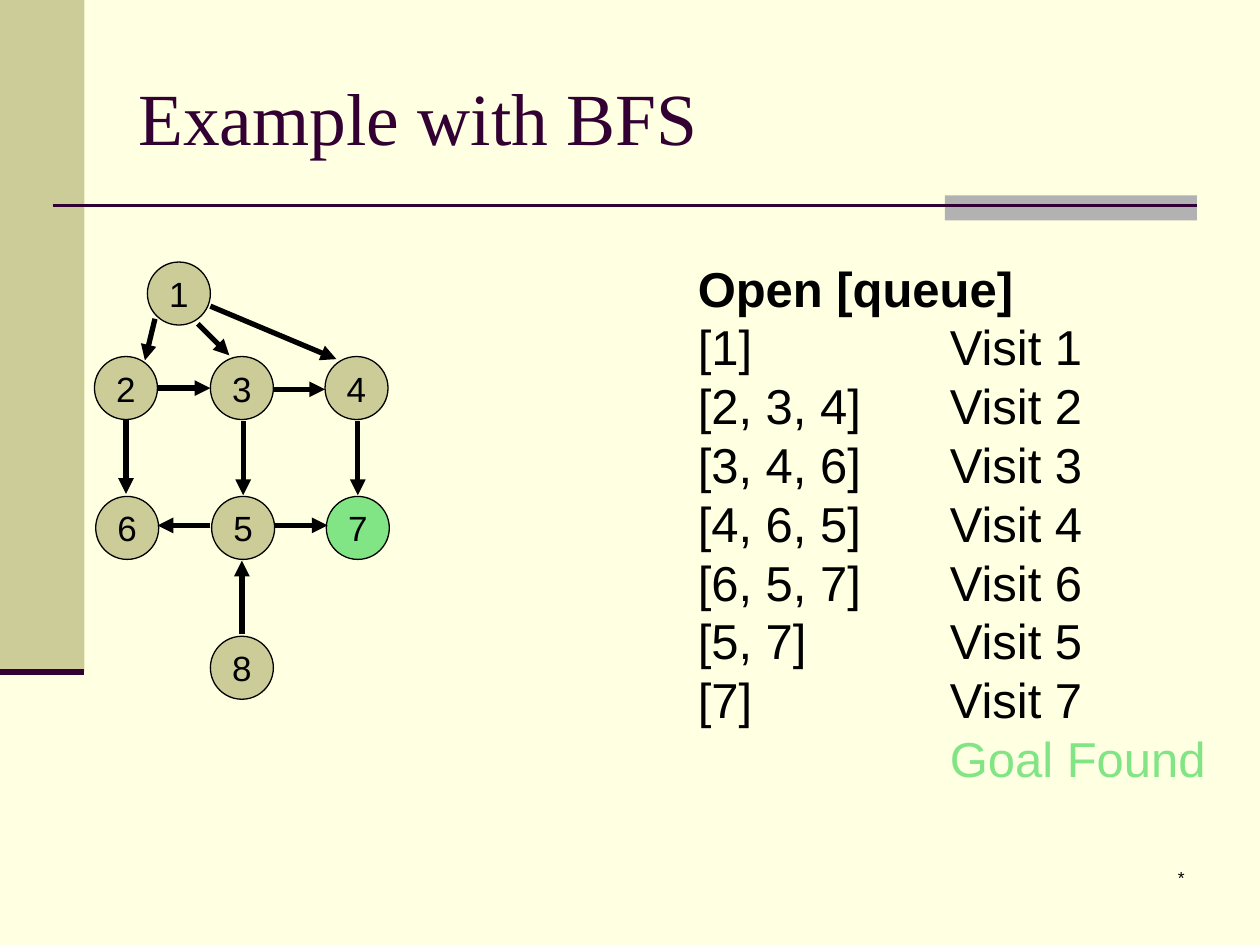
from lxml import etree
from pptx import Presentation
from pptx.dml.color import RGBColor
from pptx.enum import shapes, text
from pptx.oxml import ns
from pptx.util import Inches, Pt

INK, PLUM, SAND, GREEN = "000000", "330033", "CCCC99", "81E586"
NODE_SIZE = 0.5
NODES = {
    "2": (0.75, 2.83), "1": (1.17, 2.08), "3": (1.67, 2.83), "4": (2.58, 2.83),
    "6": (0.76, 3.94), "5": (1.68, 3.94), "7": (2.59, 3.94), "8": (1.67, 5.05),
}
GOAL = "7"
EDGES = [
    (1.23, 2.53, 1.15, 2.86), (1.57, 2.57, 1.82, 2.82), (1.67, 2.43, 2.67, 2.85),
    (1.25, 3.08, 1.67, 3.08), (2.17, 3.09, 2.58, 3.09),
    (1, 3.33, 1, 3.92), (1.93, 3.34, 1.93, 3.93), (2.84, 3.34, 2.84, 3.93),
    (1.67, 4.17, 1.25, 4.17), (2.18, 4.17, 2.6, 4.17), (1.92, 5.03, 1.92, 4.45),
]
QUEUE_STEPS = [
    ("[1]", "1"), ("[2, 3, 4]", "2"), ("[3, 4, 6]", "3"), ("[4, 6, 5]", "4"),
    ("[6, 5, 7]", "6"), ("[5, 7]", "5"), ("[7]", "7"),
]


def color(hex_value):
    """Return the colour for a hex string."""
    return RGBColor.from_string(hex_value)


def add_run(paragraph, words, size, hex_value=INK, font="Arial", bold=False):
    """Append one formatted run to a paragraph."""
    run = paragraph.add_run()
    run.text = words
    run.font.size = Pt(size)
    run.font.name = font
    run.font.bold = bold
    run.font.color.rgb = color(hex_value)


def add_panel(slide, kind, box, fill, outline=None):
    """Add a filled preset shape, outlined only when a colour is given."""
    panel = slide.shapes.add_shape(kind, *map(Inches, box))
    panel.shadow.inherit = False
    panel.fill.solid()
    panel.fill.fore_color.rgb = color(fill)
    if outline:
        panel.line.color.rgb = color(outline)
        panel.line.width = Pt(0.75)
    else:
        panel.line.fill.background()
    return panel


def add_line(slide, ends, hex_value, width, arrow=False):
    """Add a straight line, with an arrowhead at its end if asked."""
    line = slide.shapes.add_connector(
        shapes.MSO_CONNECTOR.STRAIGHT, *map(Inches, ends))
    line.line.color.rgb = color(hex_value)
    line.line.width = Pt(width)
    if arrow:
        etree.SubElement(line.line._get_or_add_ln(), ns.qn("a:tailEnd"), type="triangle")
    etree.SubElement(line._element.spPr, ns.qn("a:effectLst"))


def add_text_frame(slide, box, wrap=True):
    """Add a text box and return its frame."""
    frame = slide.shapes.add_textbox(*map(Inches, box)).text_frame
    frame.word_wrap = wrap
    return frame


def add_node(slide, label, corner):
    """Add one numbered graph node."""
    fill = GREEN if label == GOAL else SAND
    node = add_panel(slide, shapes.MSO_SHAPE.FLOWCHART_CONNECTOR,
                     (*corner, NODE_SIZE, NODE_SIZE), fill, INK)
    frame = node.text_frame
    frame.word_wrap = False
    frame.vertical_anchor = text.MSO_ANCHOR.MIDDLE
    frame.paragraphs[0].alignment = text.PP_ALIGN.CENTER
    add_run(frame.paragraphs[0], label, 20)


def add_queue_row(paragraph, words, hex_value=INK, bold=False):
    """Fill one row of the queue trace, with its second column at two inches."""
    paragraph.line_spacing = Pt(33.6)
    tabs = etree.SubElement(paragraph._p.get_or_add_pPr(), ns.qn("a:tabLst"))
    etree.SubElement(tabs, ns.qn("a:tab"), pos=str(Inches(2)), algn="l")
    add_run(paragraph, words, 28, hex_value, bold=bold)


def add_queue_trace(slide):
    """Add the queue contents and the node visited at each step."""
    frame = add_text_frame(slide, (5.44, 2, 4.23, 4.31), wrap=False)
    add_queue_row(frame.paragraphs[0], "Open [queue]", bold=True)
    for queue, visited in QUEUE_STEPS:
        add_queue_row(frame.add_paragraph(), f"{queue}\tVisit {visited}")
    add_queue_row(frame.add_paragraph(), "\tGoal Found", GREEN)


def add_decor(slide):
    """Add the background, side band and title rule."""
    slide.background.fill.solid()
    slide.background.fill.fore_color.rgb = color("FFFFE1")
    add_panel(slide, shapes.MSO_SHAPE.RECTANGLE, (0, 0, 0.67, 5.33), SAND)
    add_panel(slide, shapes.MSO_SHAPE.RECTANGLE, (7.5, 1.55, 2, 0.2), "B2B2B2")
    add_line(slide, (0.42, 1.63, 9.5, 1.63), PLUM, 1.5)
    add_line(slide, (0, 5.33, 0.67, 5.33), PLUM, 3.5)


def main():
    """Build and save the slide."""
    deck = Presentation()
    deck.slide_width, deck.slide_height = Inches(10), Inches(7.5)
    slide = deck.slides.add_slide(deck.slide_layouts[6])
    add_decor(slide)

    footer = add_text_frame(slide, (7.42, 6.83, 2.08, 0.5)).paragraphs[0]
    footer.alignment = text.PP_ALIGN.RIGHT
    add_run(footer, "*", 10)

    title = add_text_frame(slide, (1, 0.3, 8.5, 1.25))
    title.vertical_anchor = text.MSO_ANCHOR.MIDDLE
    add_run(title.paragraphs[0], "Example with BFS", 42, PLUM, "Times New Roman")

    add_queue_trace(slide)
    for label, corner in NODES.items():
        add_node(slide, label, corner)
    for ends in EDGES:
        add_line(slide, ends, INK, 3, arrow=True)
    deck.save("out.pptx")


if __name__ == "__main__":
    main()
